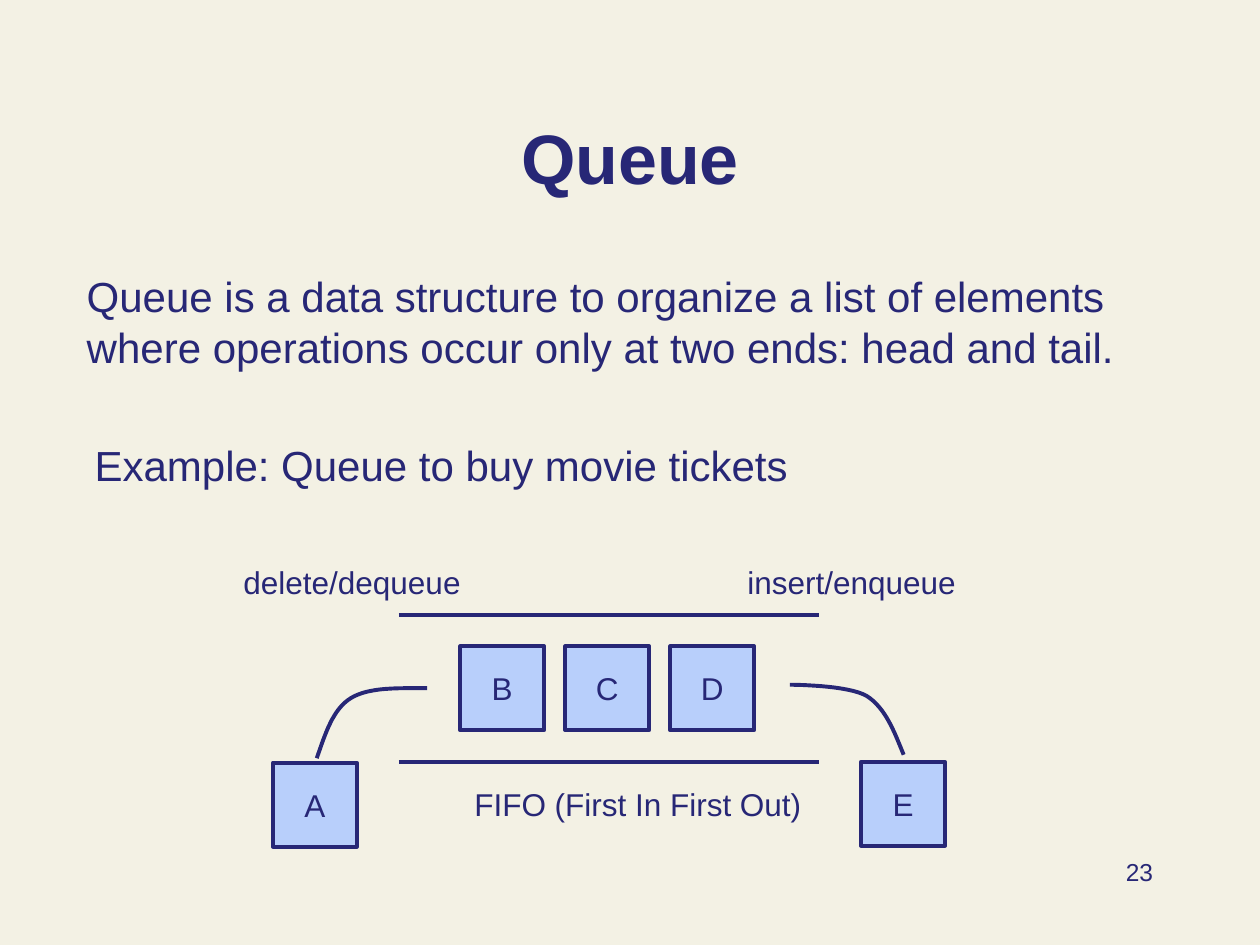
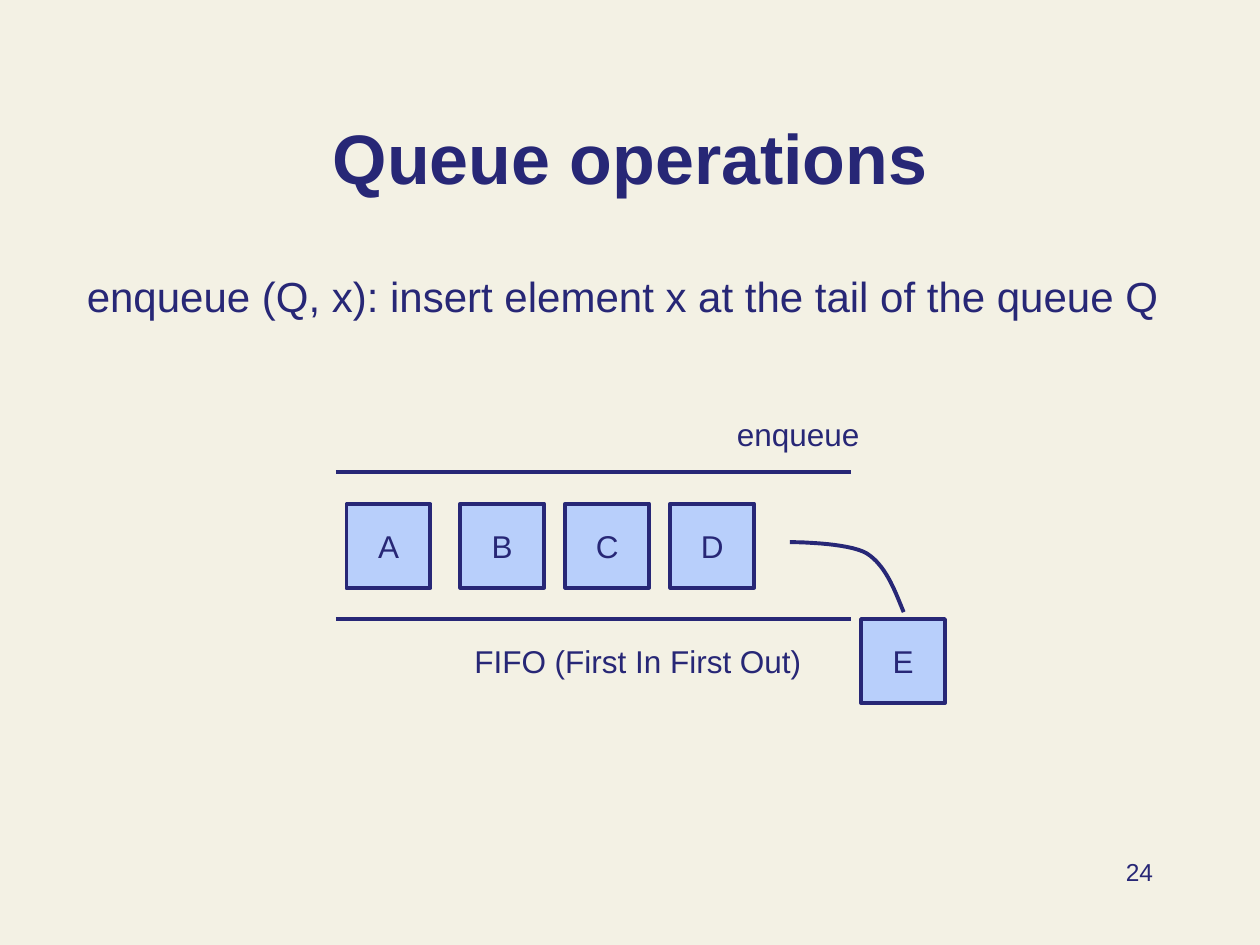
from pptx import Presentation as Deck
from pptx.util import Pt
from pptx.dml.color import RGBColor as Color
from pptx.enum.shapes import MSO_CONNECTOR as Link, MSO_SHAPE as Shape
from pptx.enum.text import MSO_ANCHOR as Anchor, PP_ALIGN as Align
from lxml.etree import SubElement as Sub

HUES = {"page": "F3F1E4", "ink": "272776", "box": "B8CFFB"}
FONT = "Arial"
SIDE = 48
RULE = 2.25
DROP = 84
STEPS = 16
NS = "{http://schemas.openxmlformats.org/drawingml/2006/main}"


def hue(name):
    """Return the named colour."""
    return Color.from_string(HUES[name])


def style(frame, size, align=Align.LEFT, bold=False):
    """Format every paragraph and run of a text frame."""
    for para in frame.paragraphs:
        para.alignment = align
        for run in para.runs:
            run.font.name = FONT
            run.font.size = Pt(size)
            run.font.bold = bold
            run.font.color.rgb = hue("ink")


def text(slide, words, area, size, align=Align.LEFT, bold=False,
         anchor=Anchor.TOP, wrap=True):
    """Add a text box and return its frame."""
    frame = slide.shapes.add_textbox(*map(Pt, area)).text_frame
    frame.word_wrap = wrap
    frame.vertical_anchor = anchor
    frame.text = words
    style(frame, size, align, bold)
    return frame


def label(slide, words, left, top, width):
    """Add a one-line caption to the diagram."""
    text(slide, words, (left, top, width, 29), 18, wrap=False)


def stroke(line):
    """Apply the diagram's line colour and width."""
    line.color.rgb = hue("ink")
    line.width = Pt(RULE)


def box(slide, name, left, top):
    """Add a square queue element."""
    item = slide.shapes.add_shape(
        Shape.RECTANGLE, Pt(left), Pt(top), Pt(SIDE), Pt(SIDE))
    item.shadow.inherit = False
    item.fill.solid()
    item.fill.fore_color.rgb = hue("box")
    stroke(item.line)
    item.text_frame.text = name
    item.text_frame.vertical_anchor = Anchor.MIDDLE
    style(item.text_frame, 18, Align.CENTER)


def rail(slide, left, right, top):
    """Add a horizontal border of the queue."""
    bar = slide.shapes.add_connector(
        Link.STRAIGHT, Pt(left), Pt(top), Pt(right), Pt(top))
    stroke(bar.line)
    Sub(bar._element.spPr, NS + "effectLst")


def bend(start, arcs):
    """Return points along a chain of cubic arcs."""
    dots = []
    for one, two, end in arcs:
        for step in range(1, STEPS + 1):
            t = step / STEPS
            u = 1 - t
            dots.append(tuple(
                u**3 * a + 3 * u * u * t * b + 3 * u * t * t * c + t**3 * d
                for a, b, c, d in zip(start, one, two, end)))
        start = end
    return dots


def curve(slide, top, start, arcs):
    """Draw a curved line, with heights measured from the upper rail."""
    def place(dot):
        return Pt(dot[0]), Pt(top + dot[1])

    form = slide.shapes.build_freeform(*place(start))
    form.add_line_segments(map(place, bend(start, arcs)), close=False)
    path = form.convert_to_shape()
    path.shadow.inherit = False
    path.fill.background()
    stroke(path.line)


def queue(slide, left, right, top):
    """Draw the rails, waiting elements and the arriving element."""
    for col, name in enumerate("BCD"):
        box(slide, name, 263 + 60 * col, top + 18)
    box(slide, "E", 492, top + DROP)
    for side in (top, top + DROP):
        rail(slide, left, right, side)
    curve(slide, top, (516.4, 80), [
        ((511, 66.7), (506, 53.3), (495.4, 46.5)),
        ((484.6, 40), (451.4, 40), (451.4, 40))])
    label(slide, "FIFO (First In First Out)", 264, top + 93.6, 203)


def base(deck, title, number):
    """Add a slide with its background, title and number."""
    slide = deck.slides.add_slide(deck.slide_layouts[6])
    slide.background.fill.solid()
    slide.background.fill.fore_color.rgb = hue("page")
    text(slide, title, (54, 39, 612, 78), 40, Align.CENTER, True,
         Anchor.BOTTOM)
    text(slide, str(number), (516, 486, 150, 36), 14, Align.RIGHT)
    return slide


def intro(deck):
    """Build the slide that defines a queue."""
    slide = base(deck, "Queue", 23)
    body = text(slide, "Queue is a data structure to organize a list of "
                "elements where operations occur only at two ends: "
                "head and tail.\nExample: Queue to buy movie tickets",
                (42.5, 151.2, 623.5, 149), 24)
    last = body.paragraphs[1]
    last.space_before = Pt(39)
    last._p.get_or_add_pPr().set("marL", str(Pt(4.5)))
    top = 351.3
    queue(slide, 228, 468, top)
    box(slide, "A", 156, top + DROP + 0.5)
    curve(slide, top, (244, 42), [
        ((227.5, 42), (211, 41.3), (200.6, 47.6)),
        ((190, 54), (185.8, 68.5), (181, 82))])
    label(slide, "insert/enqueue", 420, top - 33, 139)
    label(slide, "delete/dequeue", 132, top - 33, 140)


def add(deck):
    """Build the slide that explains enqueue."""
    slide = base(deck, "Queue operations", 24)
    text(slide, "enqueue (Q, x): insert element x at the tail of the queue Q",
         (42.5, 151.2, 629.5, 53), 24)
    top = 269.8
    queue(slide, 192, 486, top)
    box(slide, "A", 198, top + 18.3)
    label(slide, "enqueue", 414, top - 36, 85)


def main():
    """Build and save the deck."""
    deck = Deck()
    deck.slide_width = Pt(720)
    deck.slide_height = Pt(540)
    intro(deck)
    add(deck)
    deck.save("out.pptx")


if __name__ == "__main__":
    main()
